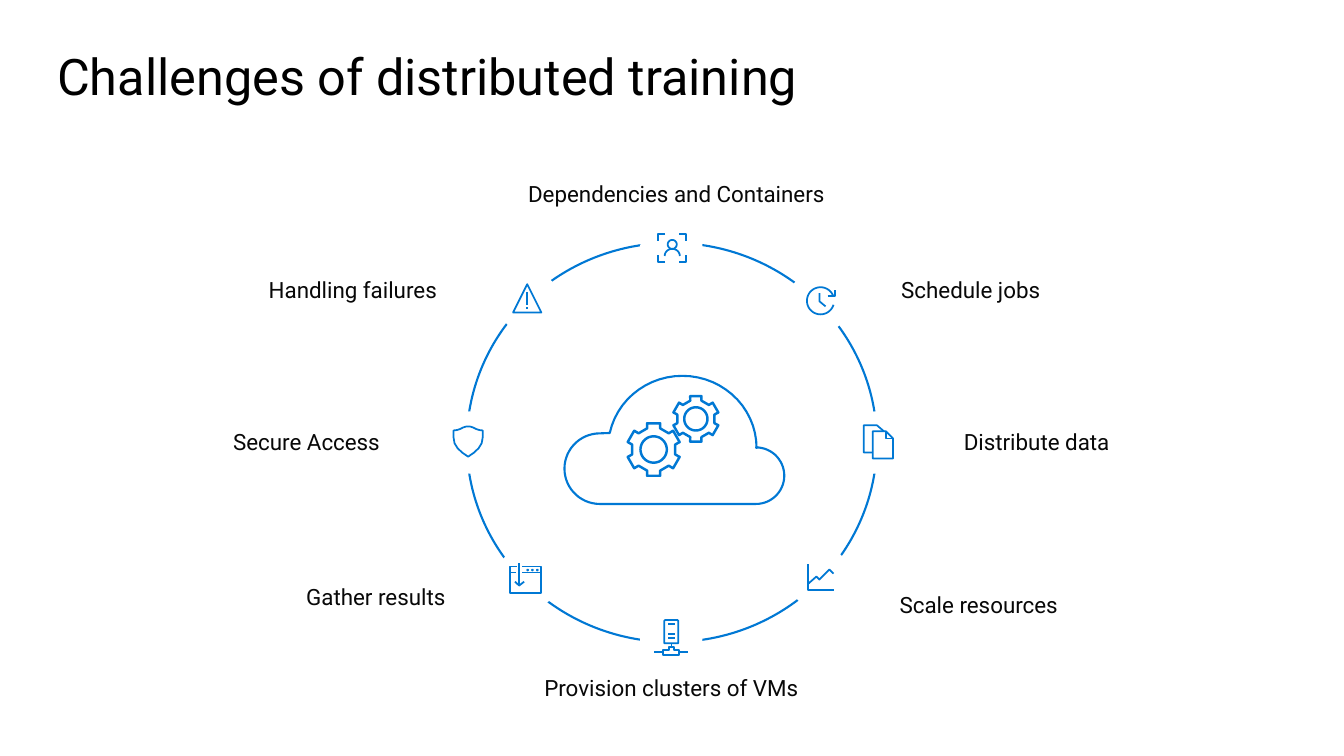
import math

import pptx
import pptx.dml.color
import pptx.enum.shapes
import pptx.enum.text
import pptx.util

Pt = pptx.util.Pt
COLORS = {
    "background": "FFFFFF",
    "accent": "0078D4",
    "title": "000000",
    "label": "080808",
}
COLORS = {name: pptx.dml.color.RGBColor.from_string(value) for name, value in COLORS.items()}
FONT = "Roboto"
OVAL = pptx.enum.shapes.MSO_SHAPE.OVAL

presentation = pptx.Presentation()
presentation.slide_width = Pt(960)
presentation.slide_height = Pt(540)
slide = presentation.slides.add_slide(presentation.slide_layouts[6])


def arc(x, y, radius_x, radius_y, start, end):
    """Points along an ellipse; degrees run clockwise from the right."""
    steps = max(8, round(abs(end - start) / 6))
    angles = [math.radians(start + (end - start) * i / steps) for i in range(steps + 1)]
    return [(x + radius_x * math.cos(a), y + radius_y * math.sin(a)) for a in angles]


def draw_strokes(origin, strokes, width, filled=False):
    """One freeform from several strokes; a stroke that returns to its start is closed."""
    placed = [[((origin[0] + x) * 100, (origin[1] + y) * 100) for x, y in stroke] for stroke in strokes]
    builder = slide.shapes.build_freeform(*placed[0][0], scale=Pt(1) / 100)
    for index, points in enumerate(placed):
        if index:
            builder.move_to(*points[0])
        builder.add_line_segments(points[1:], close=math.dist(points[0], points[-1]) < 1)
    shape = builder.convert_to_shape()
    shape.shadow.inherit = False
    if filled:
        shape.fill.solid()
        shape.fill.fore_color.rgb = COLORS["background"]
    else:
        shape.fill.background()
    shape.line.color.rgb = COLORS["accent"]
    shape.line.width = Pt(width)


# Icon strokes, in points from each icon's origin
person = [[(5 * sx, 10 * sy), (10 * sx, 10 * sy), (10 * sx, 5 * sy)] for sx in (-1, 1) for sy in (-1, 1)]
person += [arc(0, -2.5, 3.2, 3.2, 0, 360), arc(0, 5.8, 5.4, 5.1, 0, -180)]
clock = [
    arc(0, 0, 9.7, 9.7, -18, -343),
    [(3.6, 4), (-0.7, 0.4), (-0.7, -5.4)],
    [(5, -3.2), (10.1, -3.2), (10.1, -7.6)],
]
documents = [
    [(6.5, 4.3), (15.8, 4.3), (20.9, 9.4), (20.9, 23.8), (6.5, 23.8), (6.5, 4.3)],
    [(15.8, 4.3), (15.8, 9.4), (20.9, 9.4)],
    [(14.4, 4.3), (9.4, 0), (0, 0), (0, 19.4), (6.5, 19.4)],
]
line_chart = [
    [(18, 18), (0, 18), (0, 0)],
    [(18, 6.5), (15.1, 3.6), (7.9, 10.8), (5.8, 8.6), (0, 13.7)],
]
server = [
    [(6.5, 21.6), (10.8, 21.6), (10.8, 19.4), (14.4, 19.4), (14.4, 21.6),
     (18, 21.6), (18, 25.2), (6.5, 25.2), (6.5, 21.6)],
    [(0, 23), (6.5, 23)],
    [(18, 23), (24.5, 23)],
    [(12.4, 16.6), (12.4, 19.4)],
    [(7.2, 16.6), (7.2, 0.7), (8, 0), (16.6, 0), (17.3, 0.7), (17.3, 16.6), (7.2, 16.6)],
]
server += [[(10.1, y), (15.1, y)] for y in (2.9, 10.1, 13)]
window = [
    [(8.6, 2.2), (22.3, 2.2), (22.3, 20.9), (0, 20.9), (0, 2.2), (5, 2.2)],
    [(8.6, 6.5), (22.3, 6.5)],
    [(0, 6.5), (4.3, 6.5)],
    [(3.6, 13), (6.5, 15.8), (10.1, 13)],
    [(6.5, 0), (6.5, 15.8)],
]
window += [arc(x, 4.7, 0.3, 0.3, 0, 360) for x in (12.6, 16, 19.5)]
half_shield = [(0, 0), (1.6, 0.15), (3.7, 0.8), (5.5, 1.8), (7.9, 2.6), (10.4, 2.9),
               (10.4, 7.9), (9.7, 12), (7.5, 15.6), (4.1, 18.8), (0, 21.6)]
shield = [half_shield + [(-x, y) for x, y in reversed(half_shield[:-1])]]
warning = [
    [(-10.1, 20.2), (0, 0), (10.1, 20.2), (-10.1, 20.2)],
    [(0, 5.8), (0, 15.1)],
    [(0, 16.6), (0, 18)],
]

# Title
title = slide.shapes.add_textbox(Pt(33.8), Pt(23.8), Pt(892.8), Pt(59.8))
frame = title.text_frame
frame.word_wrap = True
frame.margin_left, frame.margin_top = Pt(7.2), Pt(13)
frame.margin_right = frame.margin_bottom = 0
paragraph = frame.paragraphs[0]
paragraph.text = "Challenges of distributed training"
paragraph.line_spacing = 0.9
paragraph.font.size = Pt(36)
paragraph.font.name = FONT
paragraph.font.color.rgb = COLORS["title"]

# Ring
ring = slide.shapes.add_shape(OVAL, Pt(333.4), Pt(173.5), Pt(293), Pt(285.1))
ring.shadow.inherit = False
ring.fill.solid()
ring.fill.fore_color.rgb = COLORS["background"]
ring.line.color.rgb = COLORS["accent"]
ring.line.width = Pt(1.5)

# Challenges, clockwise: label, label box, gap centre, icon origin, icon
challenges = [
    ("Dependencies and Containers", (370.8, 127, 224.6, 34.6), (479.5, 177.1), (480.2, 177.1), person),
    ("Schedule jobs", (604.1, 195.8, 178.6, 41), (585.4, 215.3), (586.1, 214.9), clock),
    ("Distribute data", (642.2, 304.6, 196.6, 37.4), (626.4, 316.1), (617, 303.8), documents),
    ("Scale resources", (594, 420.5, 210.2, 38.2), (586.1, 413.3), (577.4, 403.2), line_chart),
    ("Provision clusters of VMs", (379.4, 480.2, 200.2, 57.6), (479.5, 456.5), (467.3, 442.8), server),
    ("Gather results", (174.2, 415.4, 188.6, 43.2), (376.6, 413.3), (364.3, 402.5), window),
    ("Secure Access", (124.6, 304.6, 188.6, 34.6), (334.1, 316.1), (334.4, 304.6), shield),
    ("Handling failures", (151.9, 195.8, 200.2, 41.8), (376.6, 214.6), (376.6, 203), warning),
]
GAP = 44.6
for label, box, (gap_x, gap_y), icon_origin, icon in challenges:
    text_box = slide.shapes.add_textbox(*[Pt(value) for value in box])
    frame = text_box.text_frame
    frame.word_wrap = True
    frame.margin_left = frame.margin_right = frame.margin_top = frame.margin_bottom = Pt(1.44)
    paragraph = frame.paragraphs[0]
    paragraph.text = label
    paragraph.alignment = pptx.enum.text.PP_ALIGN.CENTER
    paragraph.font.size = Pt(16)
    paragraph.font.name = FONT
    paragraph.font.color.rgb = COLORS["label"]

    disc = slide.shapes.add_shape(OVAL, Pt(gap_x - GAP / 2), Pt(gap_y - GAP / 2), Pt(GAP), Pt(GAP))
    disc.shadow.inherit = False
    disc.fill.solid()
    disc.fill.fore_color.rgb = COLORS["background"]
    disc.line.fill.background()
    draw_strokes(icon_origin, icon, 1.25)

# Cloud
cloud = (
    arc(540, 339.8, 20.2, 20.2, 90, -90)
    + arc(487.4, 320, 53, 51.5, 0, -168)
    + arc(428.4, 334.8, 25.2, 25.2, -90, -270)
    + [(540, 360)]
)
draw_strokes((0, 0), [cloud], 1.5, filled=True)

# Gears: centre, hub radius, root radius, tip radius
for centre, hub, root, tip in [((466.9, 321.1), 9.4, 15.8, 19.3), ((497.1, 299.2), 8.3, 13.6, 16.7)]:
    rim = []
    for tooth in range(6):
        for offset, radius in [(-17, root), (-14, tip), (14, tip), (17, root)]:
            angle = math.radians(90 + 60 * tooth + offset)
            rim.append((radius * math.cos(angle), radius * math.sin(angle)))
    draw_strokes(centre, [arc(0, 0, hub, hub, 0, 360), rim + rim[:1]], 1.75)

presentation.save("out.pptx")
